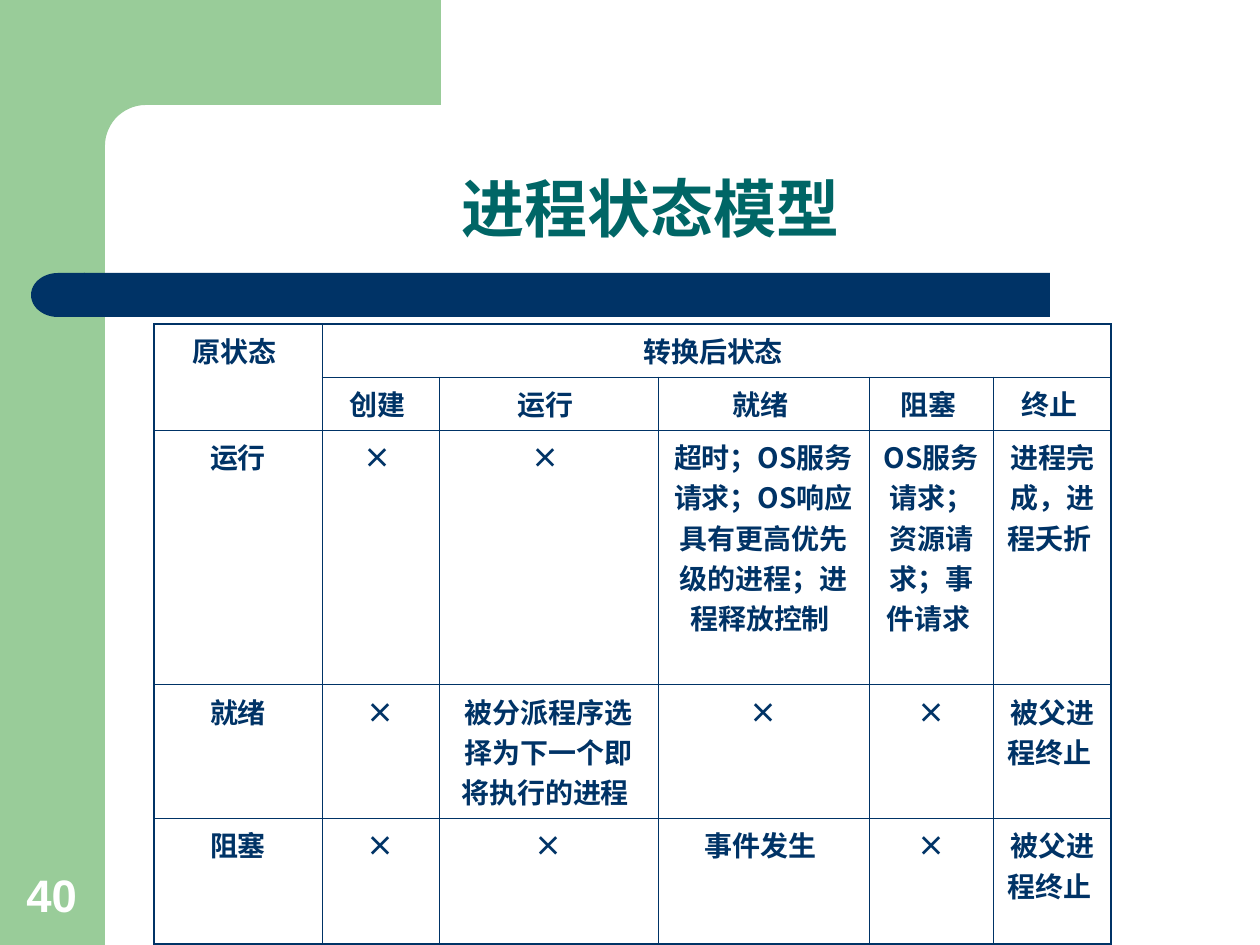
import math

from lxml import etree
from pptx import Presentation
from pptx.dml.color import RGBColor
from pptx.enum.shapes import MSO_SHAPE
from pptx.enum.text import MSO_ANCHOR, MSO_AUTO_SIZE, PP_ALIGN
from pptx.oxml.ns import qn
from pptx.util import Pt

RECT, DELAY = MSO_SHAPE.RECTANGLE, MSO_SHAPE.FLOWCHART_DELAY
LEFT, CENTER = PP_ALIGN.LEFT, PP_ALIGN.CENTER
BOTTOM = MSO_ANCHOR.BOTTOM
PX = 914400 // 126
COLORS = {"green": "99CC99", "navy": "003366", "teal": "006666", "white": "FFFFFF"}
LATIN, CJK = "Arial", "Noto Sans CJK SC"

# Content: None marks a cell covered by a merge
TITLE = "进程状态模型"
PAGE = "40"
ROWS = [
    ["原状态 ", "转换后状态 ", None, None, None, None],
    [None, "创建 ", "运行 ", "就绪 ", "阻塞 ", "终止 "],
    ["运行", "× ", "× ", "超时；OS服务请求；OS响应具有更高优先级的进程；进程释放控制 ",
     "OS服务请求；资源请求；事件请求 ", "进程完成，进程夭折 "],
    ["就绪", "×", "被分派程序选择为下一个即将执行的进程 ", "×", "×", "被父进程终止 "],
    ["阻塞", "×", "×", "事件发生 ", "×", "被父进程终止 "],
]
MERGES = [((0, 0), (1, 0)), ((0, 1), (0, 5))]
COL_W = [168, 117, 219, 211, 125, 117]
ROW_H = [50, 50, 239, 126, 126]
THIN, THICK = 0.45, 1.08


def px(*values):
    return [round(v * PX) for v in values]


def rgb(name):
    return RGBColor.from_string(COLORS[name])


def write(tf, text, size, color, font=LATIN, align=CENTER, spacing=None):
    tf.word_wrap = True
    p = tf.paragraphs[0]
    p.alignment = align
    # Closing punctuation stays inside the text width
    p._p.get_or_add_pPr().set("hangingPunct", "0")
    if spacing:
        p.line_spacing = spacing
    r = p.add_run()
    r.text = text
    r.font.size, r.font.bold, r.font.name = Pt(size), True, font
    r.font.color.rgb = rgb(color)
    etree.SubElement(r.font._element, qn("a:ea"), typeface=CJK)


def paint(sp, color):
    sp.shadow.inherit = False
    sp.fill.solid()
    sp.fill.fore_color.rgb = rgb(color)
    sp.line.fill.background()
    return sp


def set_borders(cell, widths):
    tcPr = cell._tc.get_or_add_tcPr()
    for side, width in widths.items():
        ln = etree.SubElement(tcPr, qn("a:ln" + side), w=str(Pt(width)))
        fill = etree.SubElement(ln, qn("a:solidFill"))
        etree.SubElement(fill, qn("a:srgbClr"), val=COLORS["navy"])


prs = Presentation()
prs.slide_width, prs.slide_height = px(1260, 945)
s = prs.slides.add_slide(prs.slide_layouts[5])
shapes = s.shapes

# Green side band and the top block with its rounded inner corner
paint(shapes.add_shape(RECT, *px(0, 0, 105, 945)), "green")
RADIUS, INNER = 41, 105
center = INNER + RADIUS
arc = [(center - RADIUS * math.sin(math.radians(a)),
        center - RADIUS * math.cos(math.radians(a))) for a in range(0, 91, 6)]
outline = [(441, 0), (441, INNER)] + arc + [(INNER, 161), (63, 161), (63, 0)]
points = [tuple(px(*pt)) for pt in outline]
fb = shapes.build_freeform(*points[0], scale=1.0)
fb.add_line_segments(points[1:], close=True)
paint(fb.convert_to_shape(), "green")

# Navy bar with a round left end
paint(shapes.add_shape(RECT, *px(84, 273, 966, 44)), "navy")
cap = paint(shapes.add_shape(DELAY, *px(31, 273, 54, 44)), "navy")
cap._element.spPr.xfrm.set("flipH", "1")

# Title
title = shapes.title
title.left, title.top, title.width, title.height = px(115, 115, 1072, 137)
tf = title.text_frame
tf.auto_size = MSO_AUTO_SIZE.NONE
tf.vertical_anchor = BOTTOM
write(tf, TITLE, 36, "teal", spacing=0.9)

# State transition table
n_rows, n_cols = len(ROW_H), len(COL_W)
table = shapes.add_table(n_rows, n_cols, *px(154, 324, sum(COL_W), sum(ROW_H))).table
table.first_row = table.horz_banding = False
for col, w in zip(table.columns, COL_W):
    col.width = px(w)[0]
for row, h in zip(table.rows, ROW_H):
    row.height = px(h)[0]
for first, last in MERGES:
    table.cell(*first).merge(table.cell(*last))
for i, texts in enumerate(ROWS):
    for j, text in enumerate(texts):
        cell = table.cell(i, j)
        outer = {"L": j == 0, "R": j == n_cols - 1, "T": i == 0, "B": i == n_rows - 1}
        if cell.is_merge_origin:
            outer["R"] = j + cell.span_width == n_cols
        set_borders(cell, {k: THICK if edge else THIN for k, edge in outer.items()})
        cell.fill.background()
        if text:
            latin = LATIN if (j == 0 and i > 0) or (i, j) == (0, 1) else CJK
            write(cell.text_frame, text, 16, "navy", font=latin)

# Page number
box = shapes.add_textbox(*px(14, 861, 81, 67))
box.text_frame.vertical_anchor = BOTTOM
write(box.text_frame, PAGE, 26, "white", align=LEFT)

prs.save("out.pptx")
